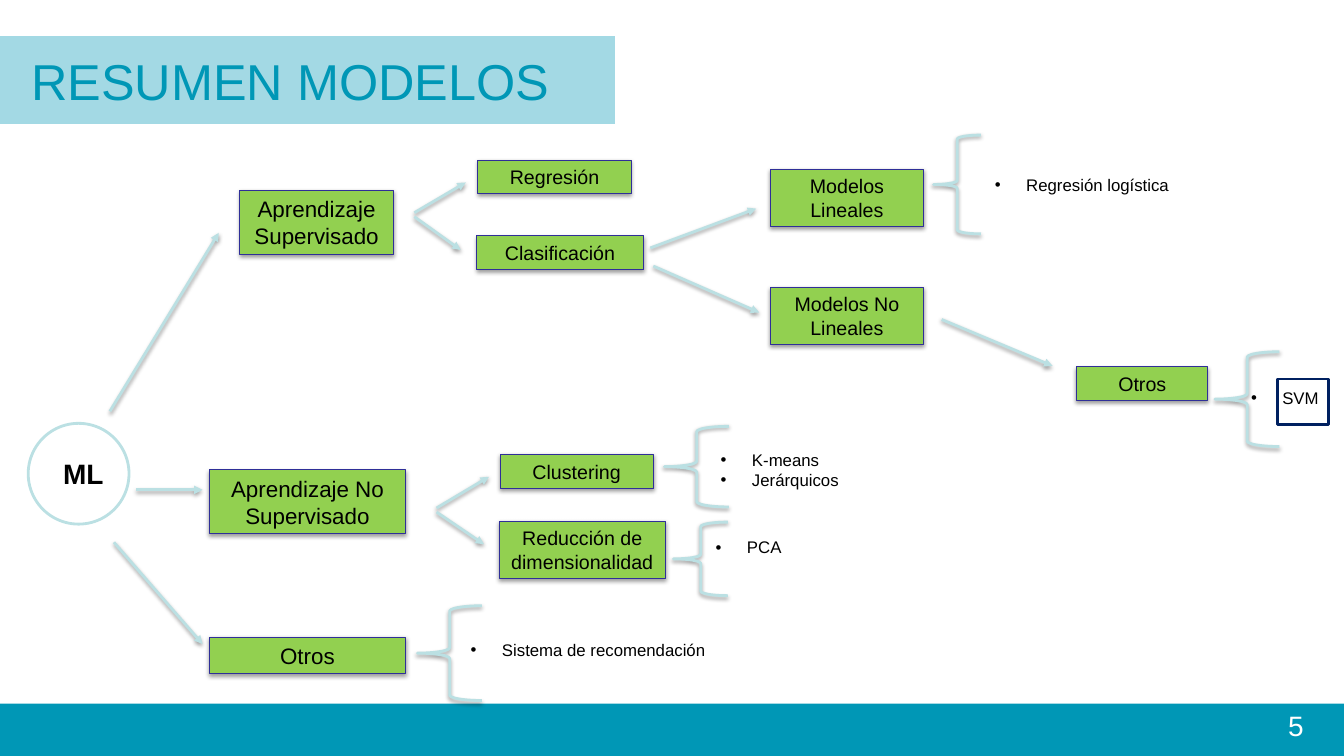
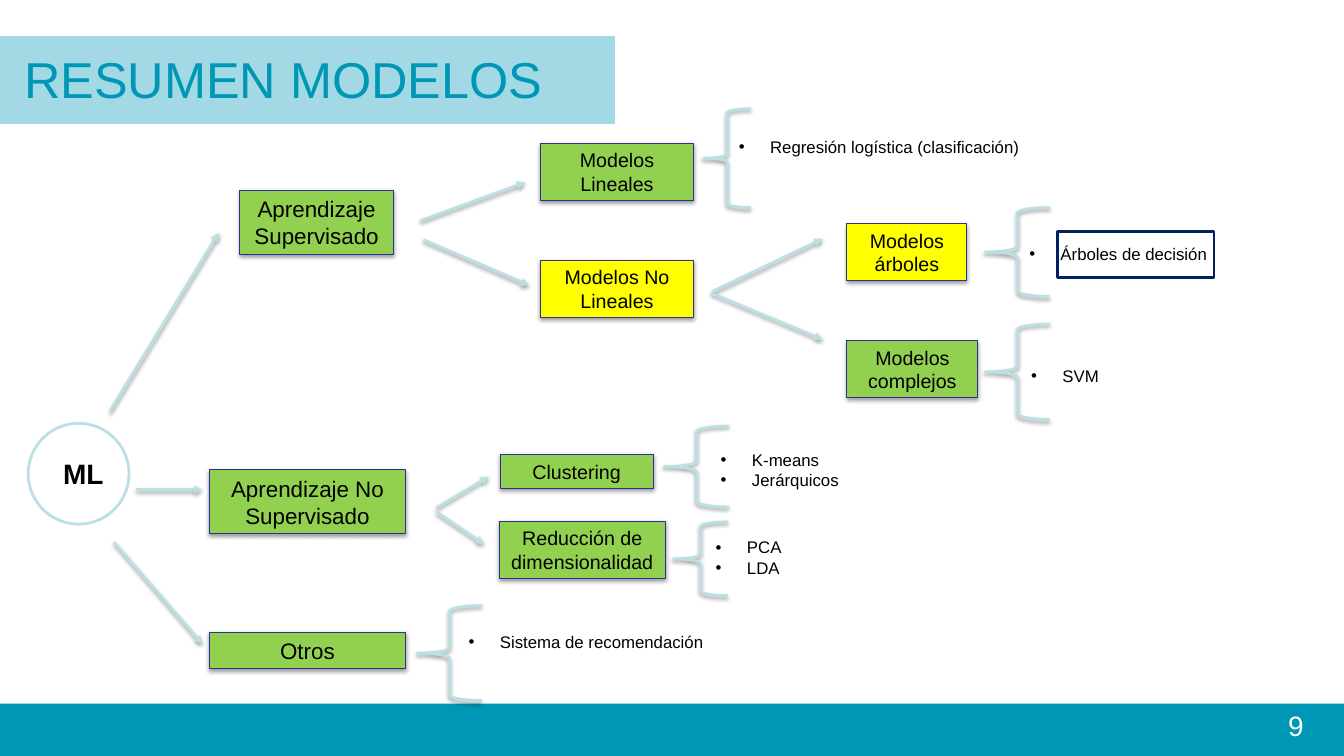
from dataclasses import dataclass

from lxml import etree
from pptx import Presentation
from pptx.dml.color import RGBColor
from pptx.enum.shapes import MSO_CONNECTOR, MSO_SHAPE
from pptx.enum.text import MSO_ANCHOR, MSO_AUTO_SIZE, PP_ALIGN
from pptx.oxml.ns import qn
from pptx.util import Inches, Pt

RECTANGLE, OVAL, BRACE = MSO_SHAPE.RECTANGLE, MSO_SHAPE.OVAL, MSO_SHAPE.LEFT_BRACE
STRAIGHT = MSO_CONNECTOR.STRAIGHT
LEFT, CENTER, RIGHT = PP_ALIGN.LEFT, PP_ALIGN.CENTER, PP_ALIGN.RIGHT
TOP, MIDDLE = MSO_ANCHOR.TOP, MSO_ANCHOR.MIDDLE
NO_AUTOFIT = MSO_AUTO_SIZE.NONE
TITLE_ONLY = 5
SLIDE_WIDTH, SLIDE_HEIGHT = 13.33, 7.5


@dataclass(frozen=True)
class Theme:
    font: str = "Arial"
    teal: str = "0097B6"
    white: str = "FFFFFF"
    black: str = "000000"
    green: str = "92D050"
    yellow: str = "FFFF00"
    border: str = "2F2F98"
    pale: str = "BBE0E3"
    navy: str = "002060"
    title_size: int = 36
    root_size: int = 20
    number_size: int = 20
    branch_size: int = 16
    model_size: int = 14
    list_size: int = 12
    thin: float = 0.75
    thick: float = 2
    title_band_opacity: int = 36
    shadow_opacity: int = 38


THEME = Theme()


@dataclass(frozen=True)
class Box:
    text: str
    left: float
    top: float
    width: float
    lines: int = 1
    size: int = THEME.model_size
    fill: str = THEME.green


# Parts of the tree that both slides show
SHARED_BOXES = [
    Box("Aprendizaje Supervisado", 2.38, 1.89, 1.52, 2, THEME.branch_size),
    Box("Aprendizaje No Supervisado", 2.08, 4.66, 1.94, 2, THEME.branch_size),
    Box("Clustering", 4.96, 4.51, 1.52),
    Box("Reducción de dimensionalidad", 4.95, 5.17, 1.65, 2),
]
SHARED_ARROWS = [
    (1.09, 4.08, 2.17, 2.31),
    (1.35, 4.86, 2.01, 4.86),
    (1.13, 5.38, 2.01, 6.39),
    (4.33, 5.04, 4.85, 4.73),
    (4.33, 5.08, 4.8, 5.4),
]
SHARED_BRACES = [
    (6.59, 4.23, 0.64, 0.8),
    (6.68, 5.18, 0.54, 0.73),
    (4.14, 6.01, 0.64, 0.94),
]
SHARED_LISTS = [(7.05, 4.41, ["K-means", "Jerárquicos"])]

# Parts that differ from slide to slide
SLIDES = [
    {
        "number": "5",
        "title_at": (0.21, 0.48),
        "boxes": [
            Box("Regresión", 4.74, 1.59, 1.52),
            Box("Clasificación", 4.73, 2.34, 1.65),
            Box("Modelos Lineales", 7.64, 1.68, 1.52, 2),
            Box("Modelos No Lineales", 7.64, 2.85, 1.52, 2),
            Box("Otros", 10.68, 3.64, 1.3),
            Box("Otros", 2.08, 6.32, 1.94, 1, THEME.branch_size),
        ],
        "arrows": [
            (4.11, 2.11, 4.62, 1.81),
            (4.11, 2.15, 4.57, 2.48),
            (6.45, 2.46, 7.5, 2.07),
            (6.48, 2.64, 7.53, 3.1),
            (9.34, 3.17, 10.44, 3.63),
        ],
        "braces": [(9.26, 1.34, 0.47, 0.98), (12.05, 3.49, 0.64, 0.94)],
        "lists": [
            (9.77, 1.68, ["Regresión logística"]),
            (12.31, 3.8, ["SVM"]),
            (7, 5.28, ["PCA"]),
            (4.57, 6.3, ["Sistema de recomendación"]),
        ],
        "highlight": (12.67, 3.76, 0.51, 0.45),
    },
    {
        "number": "9",
        "title_at": (0.14, 0.46),
        "boxes": [
            Box("Modelos Lineales", 5.36, 1.42, 1.52, 2),
            Box("Modelos No Lineales", 5.36, 2.58, 1.52, 2, fill=THEME.yellow),
            Box("Modelos árboles", 8.4, 2.22, 1.19, 2, fill=THEME.yellow),
            Box("Modelos complejos", 8.4, 3.38, 1.3, 2),
            Box("Otros", 2.08, 6.27, 1.94, 1, THEME.branch_size),
        ],
        "arrows": [
            (4.17, 2.19, 5.21, 1.81),
            (4.2, 2.38, 5.25, 2.83),
            (7.07, 2.89, 8.16, 2.37),
            (7.05, 2.91, 8.16, 3.37),
        ],
        "braces": [
            (6.98, 1.08, 0.47, 0.98),
            (9.77, 2.06, 0.64, 0.88),
            (9.77, 3.22, 0.64, 0.94),
        ],
        "lists": [
            (7.23, 1.31, ["Regresión logística (clasificación)"]),
            (10.11, 2.37, ["Árboles de decisión"]),
            (10.13, 3.58, ["SVM"]),
            (7, 5.28, ["PCA", "LDA"]),
            (4.55, 6.22, ["Sistema de recomendación"]),
        ],
        "highlight": (10.49, 2.3, 1.55, 0.45),
    },
]


# Formatting helpers
def inches(*lengths):
    return [Inches(length) for length in lengths]


def text_height(lines, size):
    return 0.1 + lines * size * 1.2 / 72


def set_attributes(target, values):
    for name, value in values.items():
        setattr(target, name, value)


def add_xml(parent, tag, **attributes):
    values = {name: str(value) for name, value in attributes.items()}
    return etree.SubElement(parent, qn(tag), values)


def add_shadow(shape):
    properties = shape.element.spPr
    for effects in properties.findall(qn("a:effectLst")):
        properties.remove(effects)
    effects = add_xml(properties, "a:effectLst")
    shadow = add_xml(effects, "a:outerShdw", blurRad=Pt(3.1), dist=Pt(1.6),
                     dir=90 * 60000, rotWithShape=0)
    color = add_xml(shadow, "a:srgbClr", val=THEME.black)
    add_xml(color, "a:alpha", val=THEME.shadow_opacity * 1000)


def set_line(line, color, width):
    line.color.rgb = RGBColor.from_string(color)
    line.width = Pt(width)


def write_text(shape, lines, size, color=THEME.black, align=LEFT, anchor=TOP, bold=False):
    frame = shape.text_frame
    frame.text = "\n".join(lines)
    set_attributes(frame, {"word_wrap": True, "auto_size": NO_AUTOFIT,
                           "vertical_anchor": anchor})
    for paragraph in frame.paragraphs:
        paragraph.alignment = align
        font = paragraph.runs[0].font
        set_attributes(font, {"name": THEME.font, "size": Pt(size), "bold": bold})
        font.color.rgb = RGBColor.from_string(color)
    return frame


# Element builders
def add_shape(slide, kind, at, fill=None, line=None, width=THEME.thick):
    shape = slide.shapes.add_shape(kind, *inches(*at))
    shape.shadow.inherit = False
    if fill:
        shape.fill.solid()
        shape.fill.fore_color.rgb = RGBColor.from_string(fill)
    else:
        shape.fill.background()
    if line:
        set_line(shape.line, line, width)
    else:
        shape.line.fill.background()
    return shape


def add_box(slide, box):
    height = text_height(box.lines, box.size)
    shape = add_shape(slide, RECTANGLE, (box.left, box.top, box.width, height),
                      box.fill, THEME.border, THEME.thin)
    add_shadow(shape)
    write_text(shape, [box.text], box.size, align=CENTER, anchor=MIDDLE)


def add_arrow(slide, ends):
    arrow = slide.shapes.add_connector(STRAIGHT, *inches(*ends))
    set_line(arrow.line, THEME.pale, THEME.thick)
    add_xml(arrow.element.spPr.find(qn("a:ln")), "a:tailEnd", type="triangle")
    add_shadow(arrow)


def add_brace(slide, at):
    add_shadow(add_shape(slide, BRACE, at, line=THEME.pale))


def add_list(slide, left, top, items):
    width = min(3.25, SLIDE_WIDTH - left)
    height = text_height(len(items), THEME.list_size)
    text_box = slide.shapes.add_textbox(*inches(left, top, width, height))
    frame = write_text(text_box, items, THEME.list_size)
    indent = Inches(0.31)
    for paragraph in frame.paragraphs:
        properties = paragraph._p.get_or_add_pPr()
        properties.set("marL", str(indent))
        properties.set("indent", str(-indent))
        add_xml(properties, "a:buFont", typeface=THEME.font)
        add_xml(properties, "a:buChar", char="•")


def add_root(slide):
    root = add_shape(slide, OVAL, (0.28, 4.2, 1, 1), THEME.white, THEME.pale)
    frame = write_text(root, ["ML"], THEME.root_size, anchor=MIDDLE, bold=True)
    set_attributes(frame, {"margin_left": Inches(0.2), "margin_right": 0})


def add_frame(slide, number, title_at):
    # Bands and slide number
    add_shape(slide, RECTANGLE, (0, 6.98, SLIDE_WIDTH, 0.52), THEME.teal)
    title_band = add_shape(slide, RECTANGLE, (0, 0.36, 6.1, 0.87), THEME.teal)
    color = title_band.element.spPr.find(qn("a:solidFill"))[0]
    add_xml(color, "a:alpha", val=THEME.title_band_opacity * 1000)
    number_box = slide.shapes.add_textbox(*inches(10.7, 6.98, 2.33, 0.52))
    write_text(number_box, [number], THEME.number_size, THEME.white, RIGHT)

    # Title, brought in front of its band
    title = slide.shapes.title
    left, top, width, height = inches(*title_at, 5.82, 0.63)
    set_attributes(title, {"left": left, "top": top, "width": width, "height": height})
    write_text(title, ["RESUMEN MODELOS"], THEME.title_size, THEME.teal, anchor=MIDDLE)
    slide.shapes.element.append(title.element)


def build_slide(presentation, content):
    slide = presentation.slides.add_slide(presentation.slide_layouts[TITLE_ONLY])
    add_frame(slide, content["number"], content["title_at"])
    add_root(slide)
    for box in SHARED_BOXES + content["boxes"]:
        add_box(slide, box)
    for ends in SHARED_ARROWS + content["arrows"]:
        add_arrow(slide, ends)
    for at in SHARED_BRACES + content["braces"]:
        add_brace(slide, at)
    for left, top, items in SHARED_LISTS + content["lists"]:
        add_list(slide, left, top, items)
    add_shape(slide, RECTANGLE, content["highlight"], line=THEME.navy)


def main():
    presentation = Presentation()
    presentation.slide_width, presentation.slide_height = inches(SLIDE_WIDTH, SLIDE_HEIGHT)
    for content in SLIDES:
        build_slide(presentation, content)
    presentation.save("out.pptx")


if __name__ == "__main__":
    main()
